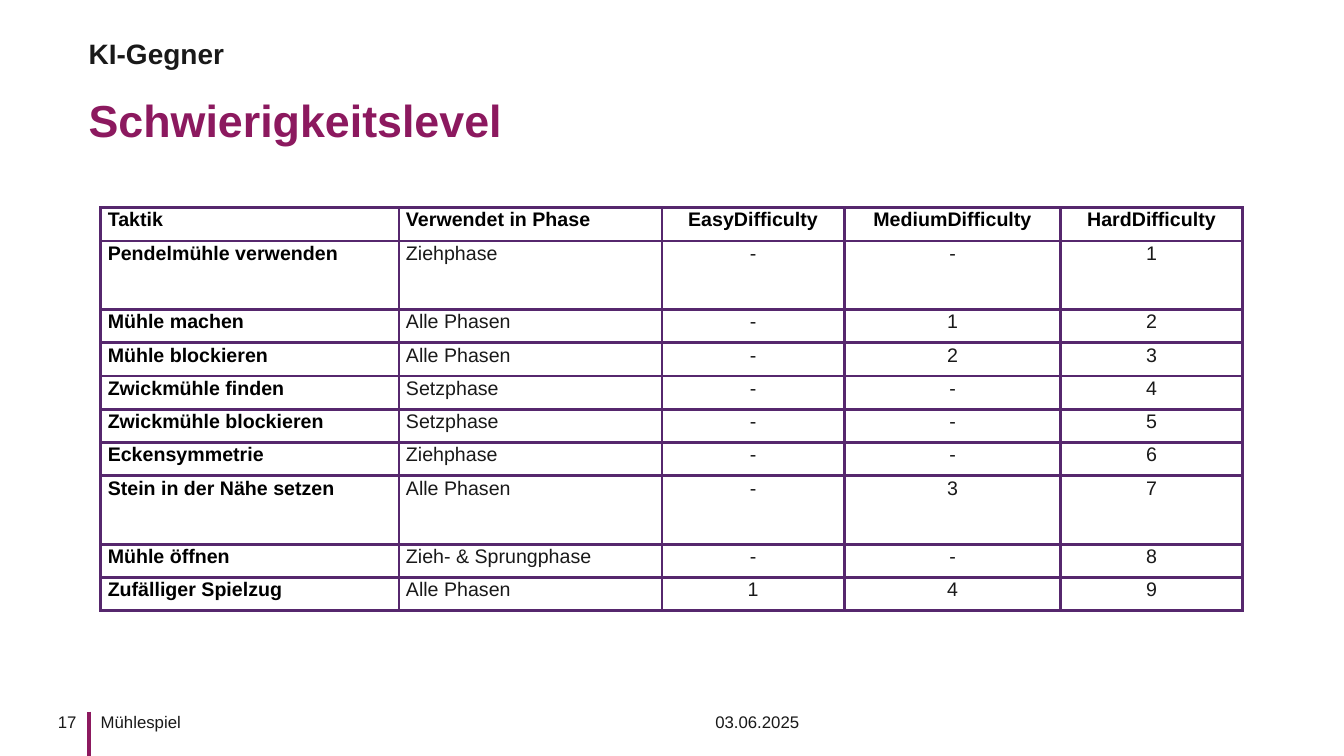
from lxml import etree
from pptx import Presentation
from pptx import util as u
from pptx.dml.color import RGBColor
from pptx.enum import shapes, text
from pptx.oxml.ns import qn

BERRY = RGBColor(0x8C, 0x19, 0x5F)
VIOLET = RGBColor(0x56, 0x27, 0x6D)
DARK = RGBColor(0x19, 0x19, 0x19)
BLACK = RGBColor(0, 0, 0)
LEFT, RIGHT, CENTER = text.PP_ALIGN.LEFT, text.PP_ALIGN.RIGHT, text.PP_ALIGN.CENTER


def write(text_frame, words, size, color, bold=False, align=LEFT):
    text_frame.text = words
    paragraph = text_frame.paragraphs[0]
    paragraph.alignment = align
    font = paragraph.runs[0].font
    font.name, font.size, font.bold = "Arial", u.Pt(size), bold
    font.color.rgb = color
    return paragraph


def set_margins(text_frame, left=0, right=0):
    text_frame.word_wrap = True
    text_frame.auto_size = text.MSO_AUTO_SIZE.NONE
    text_frame.margin_left, text_frame.margin_right = u.Inches(left), u.Inches(right)
    text_frame.margin_top = text_frame.margin_bottom = 0


presentation = Presentation()
presentation.slide_width, presentation.slide_height = u.Inches(13.34), u.Inches(7.5)
slide = presentation.slides.add_slide(presentation.slide_layouts[1])

headings = [
    (slide.shapes.title, "Schwierigkeitslevel", 0.76, 0.75, 32, BERRY),
    (slide.placeholders[1], "KI-Gegner", 0.37, 0.31, 20, DARK),
]
for shape, words, top, height, size, color in headings:
    shape.left, shape.top = u.Inches(0.88), u.Inches(top)
    shape.width, shape.height = u.Inches(12.09), u.Inches(height)
    set_margins(shape.text_frame)
    shape.text_frame.vertical_anchor = text.MSO_ANCHOR.MIDDLE
    paragraph = write(shape.text_frame, words, size, color, bold=True)
    paragraph.space_before = u.Pt(0)
    properties = paragraph._p.get_or_add_pPr()
    properties.set("marL", "0")
    properties.set("indent", "0")
    etree.SubElement(properties, qn("a:buNone"))
slide.shapes.title.text_frame.paragraphs[0].line_spacing = 1.2

rows = [
    ("Taktik", "Verwendet in Phase", "EasyDifficulty", "MediumDifficulty", "HardDifficulty"),
    ("Pendelmühle verwenden", "Ziehphase", "-", "-", "1"),
    ("Mühle machen", "Alle Phasen", "-", "1", "2"),
    ("Mühle blockieren", "Alle Phasen", "-", "2", "3"),
    ("Zwickmühle finden", "Setzphase", "-", "-", "4"),
    ("Zwickmühle blockieren", "Setzphase", "-", "-", "5"),
    ("Eckensymmetrie", "Ziehphase", "-", "-", "6"),
    ("Stein in der Nähe setzen", "Alle Phasen", "-", "3", "7"),
    ("Mühle öffnen", "Zieh- & Sprungphase", "-", "-", "8"),
    ("Zufälliger Spielzug", "Alle Phasen", "1", "4", "9"),
]
column_widths = [2.96, 2.61, 1.81, 2.15, 1.8]
tall_rows = (1, 7)
table = slide.shapes.add_table(
    len(rows), len(column_widths), u.Inches(1), u.Inches(2.06), u.Inches(11.33), u.Inches(4)
).table
table.first_row = table.horz_banding = False
for column, width in zip(table.columns, column_widths):
    column.width = u.Inches(width)

for row_index, row in enumerate(rows):
    table.rows[row_index].height = u.Inches(0.68 if row_index in tall_rows else 0.33)
    for column_index, words in enumerate(row):
        cell = table.cell(row_index, column_index)
        cell.margin_left = cell.margin_right = u.Inches(0.07)
        cell.margin_top = cell.margin_bottom = 0
        bold = row_index == 0 or column_index == 0
        align = CENTER if column_index >= 2 else LEFT
        paragraph = write(cell.text_frame, words, 14, BLACK if bold else DARK, bold, align)
        paragraph.line_spacing = 1.07
        paragraph.space_after = u.Pt(3)
        cell_properties = cell._tc.get_or_add_tcPr()
        for side in ("lnL", "lnR", "lnT", "lnB"):
            border = etree.SubElement(cell_properties, qn(f"a:{side}"), w=str(u.Pt(2.25)))
            border_fill = etree.SubElement(border, qn("a:solidFill"))
            etree.SubElement(border_fill, qn("a:srgbClr"), val=str(VIOLET))
        cell.fill.background()

footer_line = slide.shapes.add_connector(
    shapes.MSO_CONNECTOR.STRAIGHT, u.Inches(0.88), u.Inches(7.06), u.Inches(0.88), u.Inches(7.5)
)
footer_line.line.color.rgb = BERRY
footer_line.line.width = u.Pt(3)
etree.SubElement(footer_line._element.spPr, qn("a:effectLst"))

footer_labels = [
    ("17", 0.29, 0.59, 0.2, 0, 0.12, RIGHT),
    ("Mühlespiel", 0.88, 5.87, 0.36, 0.12, 0, LEFT),
    ("03.06.2025", 7.1, 3.69, 0.2, 0, 0, LEFT),
]
for words, left, width, height, margin_left, margin_right, align in footer_labels:
    label = slide.shapes.add_textbox(u.Inches(left), u.Inches(7.06), u.Inches(width), u.Inches(height))
    set_margins(label.text_frame, margin_left, margin_right)
    write(label.text_frame, words, 12, DARK, align=align)

presentation.save("out.pptx")
